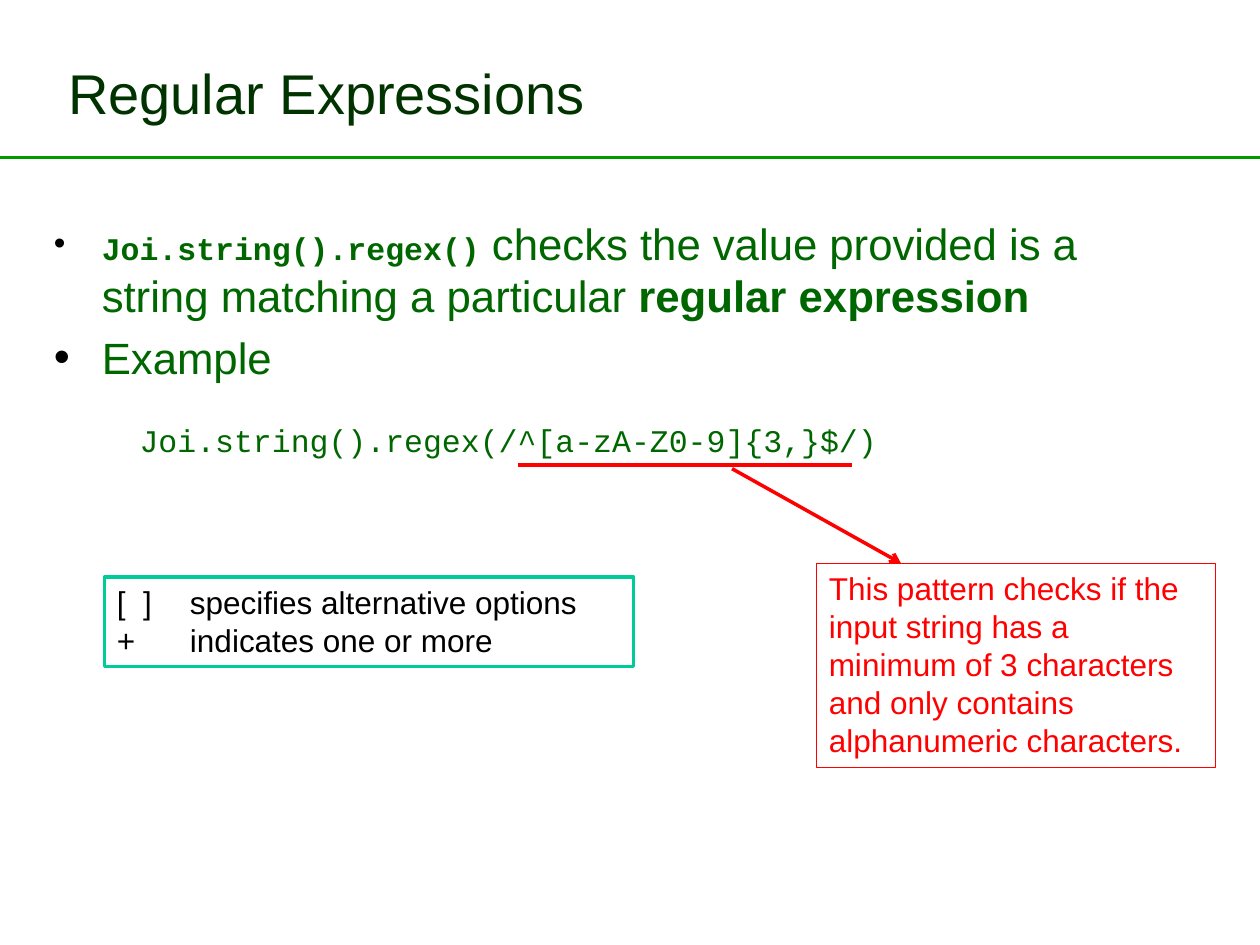
from lxml.etree import SubElement
from pptx import Presentation
from pptx.dml.color import RGBColor
from pptx.enum.shapes import MSO_CONNECTOR as Connector, MSO_SHAPE as Shape
from pptx.enum.text import MSO_ANCHOR as Anchor, PP_ALIGN as Align
from pptx.oxml.ns import qn
from pptx.util import Inches, Pt


def color(value):
    return RGBColor.from_string(value)


def apply(target, values):
    for name, value in values.items():
        setattr(target, name, value)


class SlideBuilder:
    SANS, CODE = "Arial", "Courier New"
    TITLE, BODY, BLACK = "003300", "006600", "000000"
    RULE, ACCENT, NOTE, WHITE = "009900", "00CC99", "FF0000", "FFFFFF"

    def __init__(self, presentation):
        self.slide = presentation.slides.add_slide(presentation.slide_layouts[5])

    def run(self, paragraph, text, size, shade, font=SANS, bold=False):
        run = paragraph.add_run()
        run.text = text
        apply(run.font, {"size": Pt(size), "name": font, "bold": bold})
        run.font.color.rgb = color(shade)

    def title(self, text, left, top, width, height):
        title = self.slide.shapes.title
        apply(title, {"left": Inches(left), "top": Inches(top),
                      "width": Inches(width), "height": Inches(height)})
        apply(title.text_frame, {"vertical_anchor": Anchor.MIDDLE, "word_wrap": True})
        paragraph = title.text_frame.paragraphs[0]
        paragraph.alignment = Align.LEFT
        self.run(paragraph, text, 32, self.TITLE)

    def line(self, start, end, shade, width, arrow=False):
        points = [Inches(value) for value in (*start, *end)]
        line = self.slide.shapes.add_connector(Connector.STRAIGHT, *points)
        line.line.color.rgb = color(shade)
        line.line.width = Pt(width)
        if arrow:
            SubElement(line.line._get_or_add_ln(), qn("a:tailEnd"), type="arrow")
        SubElement(line._element.spPr, qn("a:effectLst"))

    def body(self, paragraphs, left, top, width, height):
        box = self.slide.shapes.add_textbox(*map(Inches, (left, top, width, height)))
        frame = box.text_frame
        frame.word_wrap = True
        for index, (runs, bullet, indent, space) in enumerate(paragraphs):
            paragraph = frame.add_paragraph() if index else frame.paragraphs[0]
            paragraph.space_before = Pt(space)
            for values in runs:
                self.run(paragraph, **{"size": 25, "shade": self.BODY, **values})
            properties = paragraph._p.get_or_add_pPr()
            properties.set("marL", str(Inches(indent)))
            if bullet:
                properties.set("indent", str(Inches(-indent)))
                bullet_color = SubElement(properties, qn("a:buClr"))
                SubElement(bullet_color, qn("a:srgbClr"), val=self.BLACK)
                SubElement(properties, qn("a:buSzPct"), val="105000")
                SubElement(properties, qn("a:buFont"), typeface=self.SANS)
                SubElement(properties, qn("a:buChar"), char="•")

    def box(self, lines, left, top, width, height, border, weight, shade, fill=None, tab=None):
        box = self.slide.shapes.add_shape(
            Shape.RECTANGLE, *map(Inches, (left, top, width, height)))
        box.shadow.inherit = False
        if fill:
            box.fill.solid()
            box.fill.fore_color.rgb = color(fill)
        else:
            box.fill.background()
        box.line.color.rgb = color(border)
        box.line.width = Pt(weight)
        frame = box.text_frame
        apply(frame, {"word_wrap": True, "vertical_anchor": Anchor.TOP})
        for index, text in enumerate(lines):
            paragraph = frame.add_paragraph() if index else frame.paragraphs[0]
            paragraph.alignment = Align.LEFT
            self.run(paragraph, text, 18, shade)
            if tab:
                tabs = SubElement(paragraph._p.get_or_add_pPr(), qn("a:tabLst"))
                SubElement(tabs, qn("a:tab"), pos=str(Inches(tab)), algn="l")


def main():
    presentation = Presentation()
    apply(presentation, {"slide_width": Inches(10), "slide_height": Inches(7.5)})
    builder = SlideBuilder(presentation)
    code = {"size": 18, "font": builder.CODE}
    builder.line((10, 1.25), (0, 1.25), builder.RULE, 2.25)
    builder.title("Regular Expressions", 0.44, 0.21, 8.97, 1.04)
    builder.body([
        ([{"text": "Joi.string().regex()", "bold": True, **code},
          {"text": " checks the value provided is a string matching a particular "},
          {"text": "regular expression", "bold": True}], True, 0.38, 5),
        ([{"text": "Example"}], True, 0.38, 5),
        ([{"text": "Joi.string().regex(/^[a-zA-Z0-9]{3,}$/)", **code}], False, 0.68, 22),
    ], 0.33, 1.67, 9.17, 5.83)
    builder.box(["[  ]\tspecifies alternative options", "+\tindicates one or more"],
                0.83, 4.58, 4.2, 0.71, builder.ACCENT, 2, builder.BLACK,
                fill=builder.WHITE, tab=0.58)
    builder.line((5.81, 3.72), (7.15, 4.47), builder.NOTE, 2, arrow=True)
    builder.box(["This pattern checks if the input string has a minimum of 3 characters "
                 "and only contains alphanumeric characters."],
                6.48, 4.47, 3.17, 1.62, builder.NOTE, 0.75, builder.NOTE)
    builder.line((4.11, 3.69), (6.76, 3.69), builder.NOTE, 2)
    presentation.save("out.pptx")


if __name__ == "__main__":
    main()
